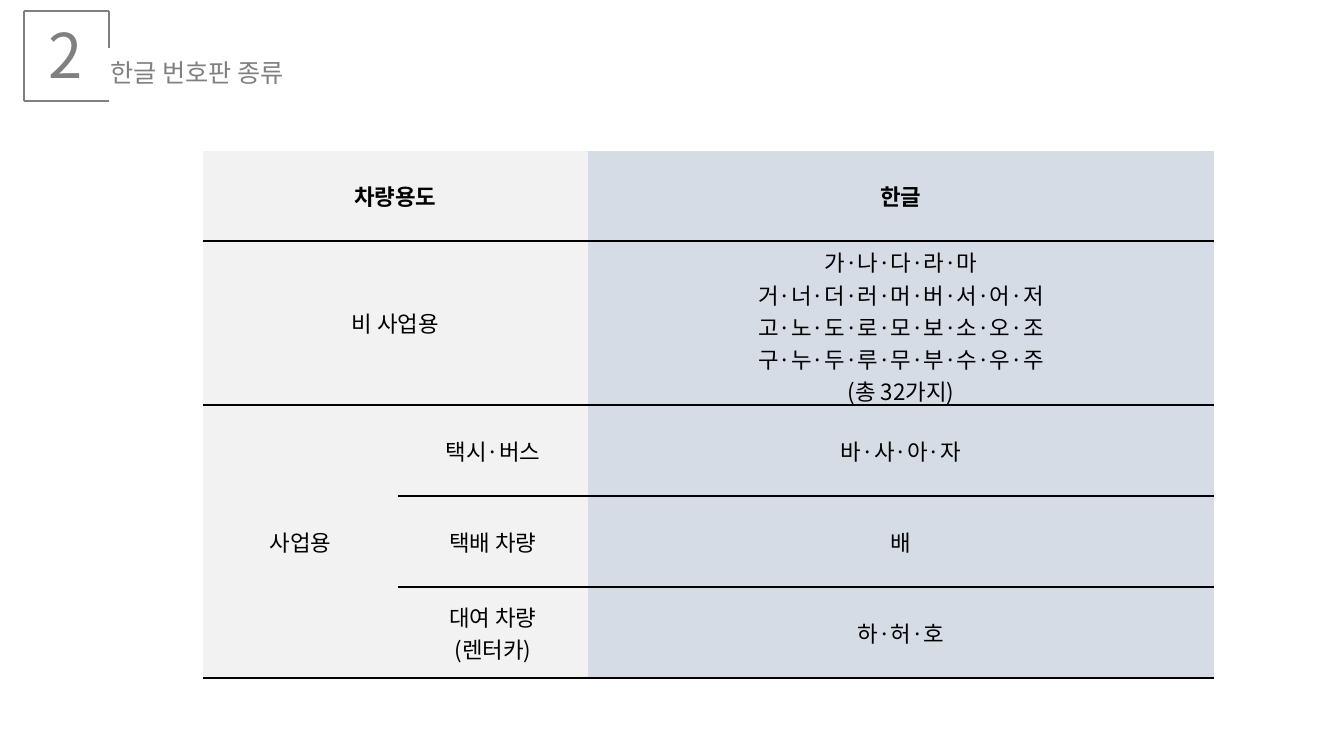
from lxml import etree
from pptx import Presentation
from pptx import util as u
from pptx.dml.color import RGBColor
from pptx.enum import shapes, text
from pptx.oxml import ns

PX = 914400 / 100.8
FONT = "Noto Sans CJK KR"
GRAY, BLACK, PALE, BLUE = "808080", "000000", "F2F2F2", "D6DCE5"


def px(n):
    return u.Emu(round(n * PX))


def write(frame, words, size, color=BLACK, bold=False, align="LEFT"):
    frame.word_wrap = True
    frame.text = words
    for para in frame.paragraphs:
        para.alignment = getattr(text.PP_ALIGN, align)
        for run in para.runs:
            font = run.font
            font.name, font.size, font.bold = FONT, u.Pt(size), bold
            font.color.rgb = RGBColor.from_string(color)
            east = etree.SubElement(run._r.rPr, ns.qn("a:ea"))
            east.set("typeface", FONT)


deck = Presentation()
deck.slide_width, deck.slide_height = px(1344), px(756)
slide = deck.slides.add_slide(deck.slide_layouts[5])

# Title
title = slide.shapes.title
title.left, title.top, title.width, title.height = px(100), px(52), px(588), px(40)
frame = title.text_frame
frame.vertical_anchor = text.MSO_ANCHOR.TOP
frame.auto_size = text.MSO_AUTO_SIZE.NONE
write(frame, "한글 번호판 종류", 18, GRAY)

# Section number in its open frame
number = slide.shapes.add_textbox(px(39), px(12), px(74), px(85))
write(number.text_frame, "2", 44, GRAY)
left, top, right, low = 24, 11, 109, 101
for ends in [(left, top, right, top), (left, top, left, low),
             (left, low, right, low), (right, top, right, 48)]:
    line = slide.shapes.add_connector(shapes.MSO_CONNECTOR.STRAIGHT, *map(px, ends))
    line.line.color.rgb = RGBColor.from_string(GRAY)
    line.line.width = u.Pt(1.5)
    etree.SubElement(line._element.spPr, ns.qn("a:effectLst"))

# Table grid
cols, rows = [195, 190, 626], [90, 164, 91, 91, 91]
grid = slide.shapes.add_table(len(rows), len(cols), px(203), px(151),
                              px(sum(cols)), px(sum(rows))).table
grid._tbl.tblPr.find(ns.qn("a:tableStyleId")).text = "{2D5ABB26-0587-4C30-8999-92F81FD0307C}"
for col, wide in zip(grid.columns, cols):
    col.width = px(wide)
for row, high in zip(grid.rows, rows):
    row.height = px(high)
for first, last in [((0, 0), (0, 1)), ((1, 0), (1, 1)), ((2, 0), (4, 0))]:
    grid.cell(*first).merge(grid.cell(*last))

# Table text, fills and rules
letters = "\n".join("·".join(row) for row in
                    ["가나다라마", "거너더러머버서어저", "고노도로모보소오조", "구누두루무부수우주"])
words = [
    ["차량용도", None, "한글"],
    ["비 사업용", None, letters + "\n(총 32가지)"],
    ["사업용", "택시·버스", "바·사·아·자"],
    [None, "택배 차량", "배"],
    [None, "대여 차량\n(렌터카)", "하·허·호"],
]
for r, row in enumerate(words):
    for c, word in enumerate(row):
        cell = grid.cell(r, c)
        cell.fill.solid()
        cell.fill.fore_color.rgb = RGBColor.from_string(BLUE if c == 2 else PALE)
        cell.vertical_anchor = text.MSO_ANCHOR.MIDDLE
        if word:
            write(cell.text_frame, word, 16, bold=r == 0, align="CENTER")
        if (r, c) != (3, 0):
            rule = etree.Element(ns.qn("a:lnB"), w=str(u.Pt(1)))
            ink = etree.SubElement(rule, ns.qn("a:solidFill"))
            etree.SubElement(ink, ns.qn("a:srgbClr"), val=BLACK)
            cell._tc.tcPr.insert(0, rule)

deck.save("out.pptx")
